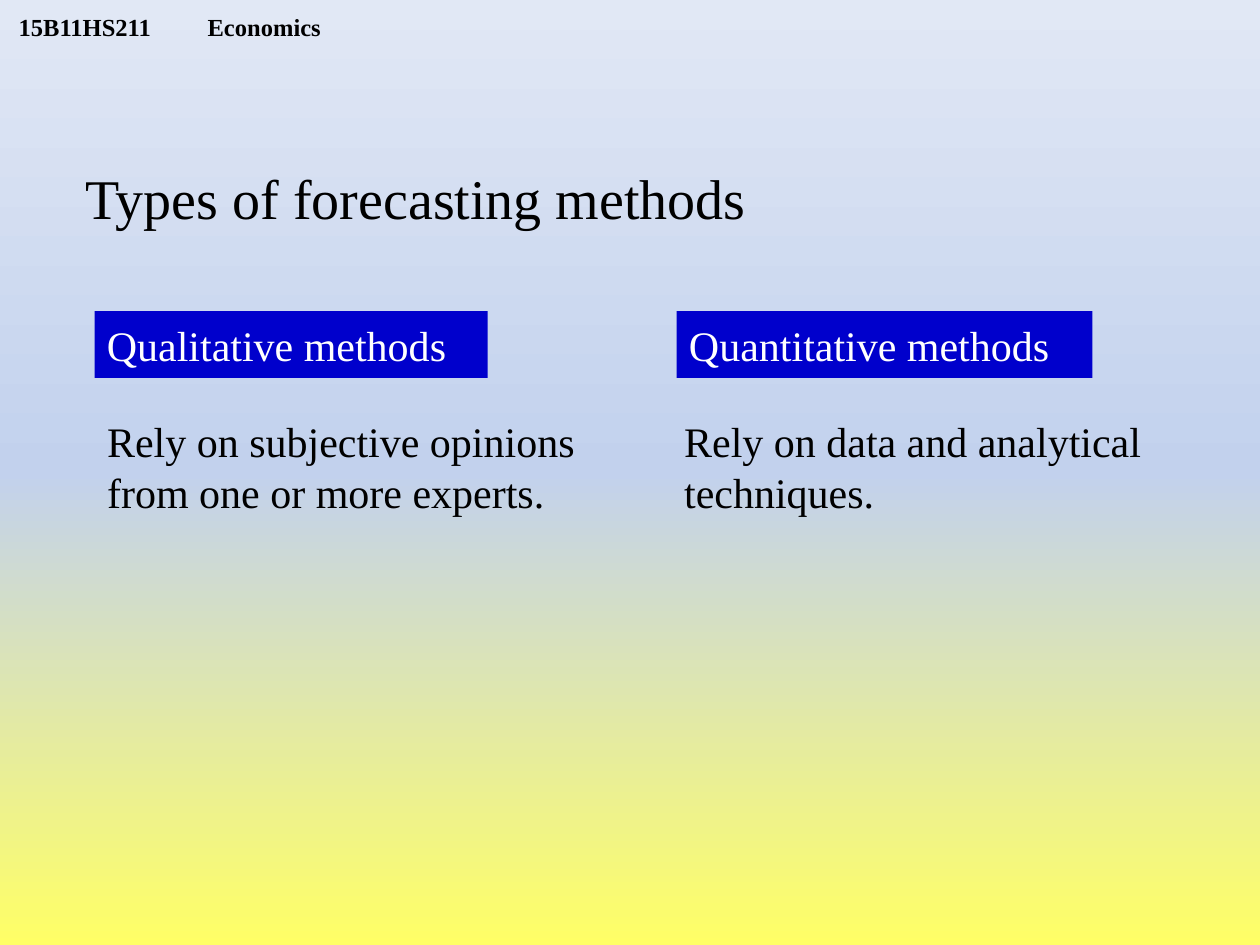
import copy

import pptx
import pptx.dml.color
import pptx.enum.shapes
import pptx.enum.text
import pptx.oxml.ns
import pptx.util

COLORS = {"black": "000000", "white": "FFFFFF", "box": "0000CC",
          "bottom": "FFFF66", "middle": "C2D1ED", "top": "E1E8F5"}
WIDTH, HEIGHT = 10, 7.5
ANCHOR = pptx.enum.text.MSO_ANCHOR


def rgb(name):
    return pptx.dml.color.RGBColor.from_string(COLORS[name])


def write(tf, text, size=24, color="black", bold=False, anchor=ANCHOR.TOP,
          wrap=True, tab=None):
    """Fill a text frame with one plain, left-aligned paragraph."""
    tf.word_wrap = wrap
    tf.auto_size = pptx.enum.text.MSO_AUTO_SIZE.NONE
    tf.vertical_anchor = anchor
    p = tf.paragraphs[0]
    p.text = text
    p.alignment = pptx.enum.text.PP_ALIGN.LEFT
    p.space_before = pptx.util.Pt(0)
    pPr = p._p.get_or_add_pPr()
    pPr.set("marL", "0")
    pPr.set("indent", "0")
    pPr.append(pptx.oxml.parse_xml(
        f"<a:buNone {pptx.oxml.ns.nsdecls('a')}/>"))
    if tab:
        pPr.append(pptx.oxml.parse_xml(
            f"<a:tabLst {pptx.oxml.ns.nsdecls('a')}>"
            f'<a:tab pos="{pptx.util.Inches(tab)}" algn="l"/></a:tabLst>'))
    for r in p.runs:
        r.font.name = "Times New Roman"
        r.font.size = pptx.util.Pt(size)
        r.font.bold = bold
        r.font.color.rgb = rgb(color)


class Deck:
    """Style and current slide; lengths are shares of the slide's size."""

    def __init__(self):
        self.prs = pptx.Presentation()
        self.prs.slide_width = pptx.util.Inches(WIDTH)
        self.prs.slide_height = pptx.util.Inches(HEIGHT)
        self.s = self.prs.slides.add_slide(self.prs.slide_layouts[3])

    def area(self, x, y, w, h):
        sw, sh = self.prs.slide_width, self.prs.slide_height
        return [round(v) for v in (x * sw, y * sh, w * sw, h * sh)]

    def background(self, *names):
        fill = self.s.background.fill
        fill.gradient()
        fill.gradient_angle = 90
        stops = self.s.element.find(".//" + pptx.oxml.ns.qn("a:gsLst"))
        stops.insert(1, copy.deepcopy(stops[0]))
        for i, (stop, name) in enumerate(zip(fill.gradient_stops, names)):
            stop.position = i / (len(names) - 1)
            stop.color.rgb = rgb(name)

    def placeholder(self, idx, text, area, **style):
        sp = self.s.placeholders[idx]
        sp.left, sp.top, sp.width, sp.height = self.area(*area)
        write(sp.text_frame, text, **style)

    def label(self, text, area, **style):
        sp = self.s.shapes.add_textbox(*self.area(*area))
        tf = sp.text_frame
        tf.margin_top = tf.margin_bottom = 0
        write(tf, text, **style)

    def box(self, text, area):
        sp = self.s.shapes.add_shape(
            pptx.enum.shapes.MSO_SHAPE.RECTANGLE, *self.area(*area))
        sp.shadow.inherit = False
        sp.fill.solid()
        sp.fill.fore_color.rgb = rgb("box")
        sp.line.fill.background()
        write(sp.text_frame, text, color="white", anchor=ANCHOR.MIDDLE,
              wrap=False)


def main():
    deck = Deck()
    deck.background("bottom", "middle", "top")

    # Course header and title
    deck.label("15B11HS211\tEconomics", (0.005, 0, 0.32, 0.33 / HEIGHT),
               size=14, bold=True, anchor=ANCHOR.BOTTOM, tab=1.63)
    deck.placeholder(0, "Types of forecasting methods",
                     (0.058, 1.25 / HEIGHT, 0.9, 0.63 / HEIGHT),
                     size=32, anchor=ANCHOR.MIDDLE)

    # One column per method: heading box above its description
    columns = [
        ("Qualitative methods", 0.075, 0.312,
         "Rely on subjective opinions from one or more experts.",
         0.075, 0.393, 1.4),
        ("Quantitative methods", 0.537, 0.33,
         "Rely on data and analytical techniques.", 0.533, 0.384, 0.97),
    ]
    for idx, (head, hx, hw, body, x, w, h) in enumerate(columns, start=1):
        deck.box(head, (hx, 2.47 / HEIGHT, hw, 0.53 / HEIGHT))
        deck.placeholder(idx, body, (x, 3.25 / HEIGHT, w, h / HEIGHT))

    deck.prs.save("out.pptx")


if __name__ == "__main__":
    main()
